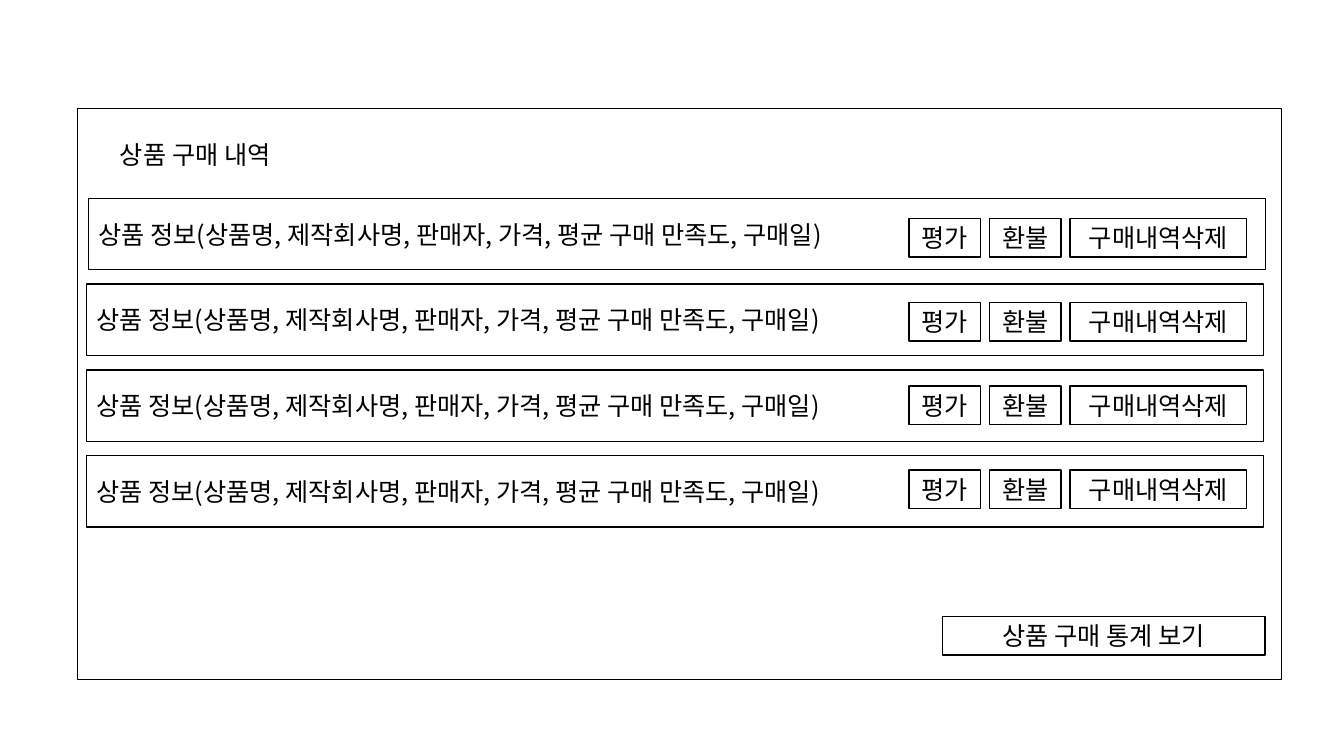
from lxml.etree import SubElement
from pptx import Presentation
from pptx.dml.color import RGBColor
from pptx.enum.shapes import MSO_SHAPE
from pptx.enum.text import MSO_ANCHOR, MSO_AUTO_SIZE, PP_ALIGN
from pptx.oxml.ns import qn
from pptx.util import Cm, Pt

COLORS = {"paper": "FFFFFF", "ink": "000000"}
FONT = "Noto Sans CJK KR"
PRODUCT_INFO = "상품 정보(상품명, 제작회사명, 판매자, 가격, 평균 구매 만족도, 구매일)"
ROW_COUNT = 4
ROW_LEFT, ROW_TOP, ROW_PITCH = 2.18, 5, 2.16
BUTTON_TOP, BUTTON_PITCH, BUTTON_HEIGHT = 5.51, 2.11, 0.97
ROW_BUTTONS = [("평가", 22.91, 1.8), ("환불", 24.94, 1.8), ("구매내역삭제", 26.97, 4.45)]


def write_text(shape, text, alignment, anchor):
    """Fill a shape with one 18 pt line, naming the font for Korean script too."""
    text_frame = shape.text_frame
    text_frame.text = text
    text_frame.word_wrap = True
    text_frame.vertical_anchor = anchor
    paragraph = text_frame.paragraphs[0]
    paragraph.alignment = alignment
    font = paragraph.runs[0].font
    font.size = Pt(18)
    font.name = FONT
    font.color.rgb = RGBColor.from_string(COLORS["ink"])
    SubElement(font._element, qn("a:ea")).set("typeface", FONT)


def add_box(left, top, width, height, text="", alignment=PP_ALIGN.CENTER):
    """Add an outlined white rectangle, measured in centimetres."""
    shape = slide.shapes.add_shape(
        MSO_SHAPE.RECTANGLE, Cm(left), Cm(top), Cm(width), Cm(height))
    shape.shadow.inherit = False
    shape.fill.solid()
    shape.fill.fore_color.rgb = RGBColor.from_string(COLORS["paper"])
    shape.line.color.rgb = RGBColor.from_string(COLORS["ink"])
    shape.line.width = Pt(1)
    if text:
        write_text(shape, text, alignment, MSO_ANCHOR.MIDDLE)


presentation = Presentation()
presentation.slide_width = Cm(33.87)
presentation.slide_height = Cm(19.05)
slide = presentation.slides.add_slide(presentation.slide_layouts[5])

# Page frame, with the title brought in front of it
add_box(1.96, 2.74, 30.33, 14.38)
title = slide.shapes.title
title.left, title.top, title.width, title.height = Cm(2.77), Cm(3.38), Cm(14.1), Cm(1.02)
write_text(title, "상품 구매 내역", PP_ALIGN.LEFT, MSO_ANCHOR.TOP)
title.text_frame.auto_size = MSO_AUTO_SIZE.NONE
slide.shapes._spTree.append(title._element)

# Purchase rows, each with its buttons
for row in range(ROW_COUNT):
    row_left = ROW_LEFT + (0.05 if row == 0 else 0)
    add_box(row_left, ROW_TOP + row * ROW_PITCH, 29.67, 1.8, PRODUCT_INFO, PP_ALIGN.LEFT)
    for label, left, width in ROW_BUTTONS:
        add_box(left, BUTTON_TOP + row * BUTTON_PITCH, width, BUTTON_HEIGHT, label)

add_box(23.75, 15.54, 8.13, BUTTON_HEIGHT, "상품 구매 통계 보기")

presentation.save("out.pptx")
